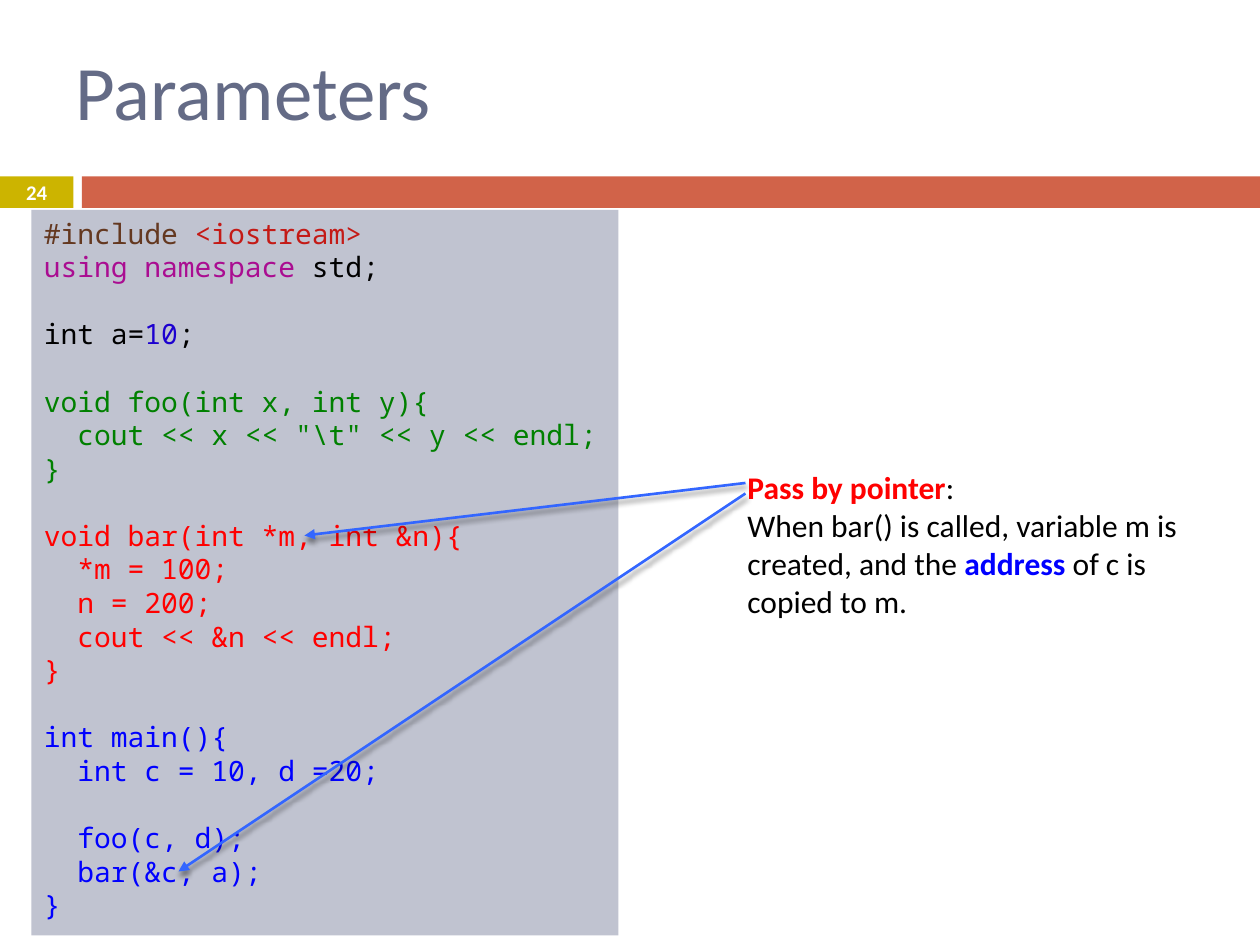
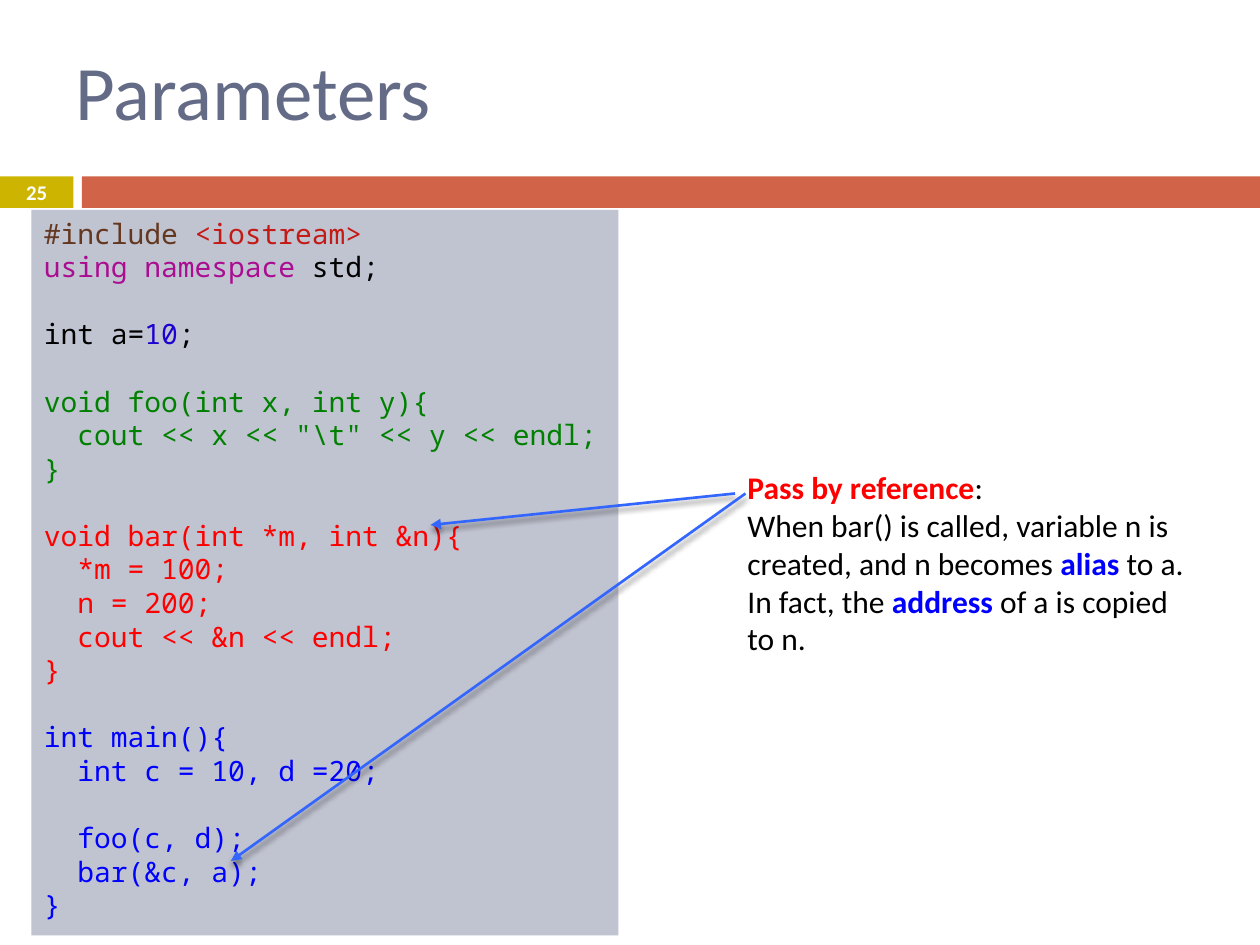
from lxml import etree
from pptx import Presentation
from pptx import util as u
from pptx.dml.color import RGBColor
from pptx.enum import shapes, text
from pptx.oxml import ns

COLUMN = ROW = u.Inches(1) / 12

TITLE_BLUE = RGBColor(0x64, 0x6B, 0x86)
GOLD = RGBColor(0xCC, 0xB4, 0x00)
BRICK = RGBColor(0xD1, 0x63, 0x49)
CODE_GREY = RGBColor(0xC0, 0xC3, 0xD0)
ARROW_BLUE = RGBColor(0x33, 0x66, 0xFF)
WHITE = RGBColor(0xFF, 0xFF, 0xFF)
BLACK = RGBColor(0x00, 0x00, 0x00)
BROWN = RGBColor(0x64, 0x38, 0x20)
DARK_RED = RGBColor(0xC4, 0x1A, 0x16)
PURPLE = RGBColor(0xAA, 0x0D, 0x91)
INDIGO = RGBColor(0x1C, 0x00, 0xCF)
GREEN = RGBColor(0x00, 0x80, 0x00)
RED = RGBColor(0xFF, 0x00, 0x00)
BLUE = RGBColor(0x00, 0x00, 0xFF)

BODY_FONT = "Calibri"
CODE_FONT = "Noto Sans Mono"

FOO = r'''void foo(int x, int y){
  cout << x << "\t" << y << endl;
}
'''
BAR = '''void bar(int *m, int &n){
  *m = 100;
  n = 200;
  cout << &n << endl;
}
'''
MAIN = '''int main(){
  int c = 10, d =20;

  foo(c, d);
  bar(&c, a);
}'''


def one_colour(code, colour):
    return [[(line, colour)] if line else [] for line in code.split("\n")]


PROGRAM = [
    [("#include ", BROWN), ("<iostream>", DARK_RED)],
    [("using namespace ", PURPLE), ("std;", BLACK)],
    [],
    [("int a=", BLACK), ("10", INDIGO), (";", BLACK)],
    [],
    *one_colour(FOO, GREEN),
    *one_colour(BAR, RED),
    *one_colour(MAIN, BLUE),
]

LESSONS = [
    {
        "number": 24,
        "arrows": [((71, 46), (29, 51)), ((71, 47), (17, 83))],
        "rows": 15.7,
        "explanation": [
            [("Pass by pointer", RED), (":", BLACK)],
            [("When bar() is called, variable m is created, and the ", BLACK),
             ("address ", BLUE), ("of c is copied to m.", BLACK)],
        ],
    },
    {
        "number": 25,
        "arrows": [((70, 47), (41, 50)), ((71, 47), (22, 82))],
        "rows": 19.4,
        "explanation": [
            [("Pass by reference", RED), (":", BLACK)],
            [("When bar() is called, variable n is created, and n becomes ", BLACK),
             ("alias ", BLUE), ("to a. In fact, the ", BLACK),
             ("address", BLUE), (" of a is copied to n.", BLACK)],
        ],
    },
]


def place(column, row, columns, rows):
    return (round(column * COLUMN), round(row * ROW),
            round(columns * COLUMN), round(rows * ROW))


def set_font(paragraph, name, size, colour=None, bold=None):
    font = paragraph.font
    font.name, font.size, font.bold = name, u.Pt(size), bold
    if colour is not None:
        font.color.rgb = colour


def add_title(slide, wording):
    title = slide.shapes.title
    title.left, title.top, title.width, title.height = place(6, 2, 107, 13)
    title.text_frame.text = wording
    title.text_frame.vertical_anchor = text.MSO_ANCHOR.MIDDLE
    heading = title.text_frame.paragraphs[0]
    heading.alignment = text.PP_ALIGN.LEFT
    set_font(heading, BODY_FONT, 44, TITLE_BLUE)


def add_band(slide, column, columns, colour):
    band = slide.shapes.add_shape(
        shapes.MSO_SHAPE.RECTANGLE, *place(column, 16.8, columns, 3))
    band.shadow.inherit = False
    band.fill.solid()
    band.fill.fore_color.rgb = colour
    band.line.fill.background()
    return band


def add_page_bands(slide, number):
    frame = add_band(slide, 0, 7, GOLD).text_frame
    frame.margin_top = frame.margin_bottom = 0
    frame.vertical_anchor = text.MSO_ANCHOR.MIDDLE
    page = frame.paragraphs[0]
    page.text = str(number)
    page.alignment = text.PP_ALIGN.CENTER
    set_font(page, BODY_FONT, 11.9, WHITE, True)
    add_band(slide, 7.8, 112.2, BRICK)


def write_lines(frame, lines, name, size, bold_colours=()):
    for index, line in enumerate(lines):
        paragraph = frame.add_paragraph() if index else frame.paragraphs[0]
        set_font(paragraph, name, size)
        for wording, colour in line:
            run = paragraph.add_run()
            run.text = wording
            run.font.color.rgb = colour
            if colour in bold_colours:
                run.font.bold = True


def add_listing(slide):
    listing = slide.shapes.add_textbox(*place(3, 20, 55.9, 69.1))
    listing.fill.solid()
    listing.fill.fore_color.rgb = CODE_GREY
    listing.text_frame.word_wrap = False
    listing.text_frame.auto_size = text.MSO_AUTO_SIZE.SHAPE_TO_FIT_TEXT
    write_lines(listing.text_frame, PROGRAM, CODE_FONT, 16)


def add_explanation(slide, lines, rows):
    explanation = slide.shapes.add_textbox(*place(70, 44, 44, rows))
    explanation.text_frame.word_wrap = True
    explanation.text_frame.auto_size = text.MSO_AUTO_SIZE.SHAPE_TO_FIT_TEXT
    write_lines(explanation.text_frame, lines, BODY_FONT, 18, (RED, BLUE))


def add_arrow(slide, start, end):
    ends = [round(cell * COLUMN) for cell in (*start, *end)]
    arrow = slide.shapes.add_connector(shapes.MSO_CONNECTOR.STRAIGHT, *ends)
    arrow.line.color.rgb = ARROW_BLUE
    arrow.line.width = u.Pt(1.5)
    etree.SubElement(arrow.line._get_or_add_ln(), ns.qn("a:tailEnd"), type="triangle")
    effects = etree.SubElement(arrow._element.spPr, ns.qn("a:effectLst"))
    shadow = etree.SubElement(
        effects, ns.qn("a:outerShdw"), blurRad=str(u.Pt(3)),
        dist=str(u.Pt(2.4)), dir="5400000", rotWithShape="0")
    black = etree.SubElement(shadow, ns.qn("a:srgbClr"), val="000000")
    etree.SubElement(black, ns.qn("a:alpha"), val="45000")


def add_lesson(deck, lesson):
    slide = deck.slides.add_slide(deck.slide_layouts.get_by_name("Title Only"))
    add_page_bands(slide, lesson["number"])
    add_title(slide, "Parameters")
    add_listing(slide)
    for start, end in lesson["arrows"]:
        add_arrow(slide, start, end)
    add_explanation(slide, lesson["explanation"], lesson["rows"])


def main():
    deck = Presentation()
    deck.slide_width, deck.slide_height = u.Inches(10), u.Inches(7.5)
    for lesson in LESSONS:
        add_lesson(deck, lesson)
    deck.save("out.pptx")


if __name__ == "__main__":
    main()
